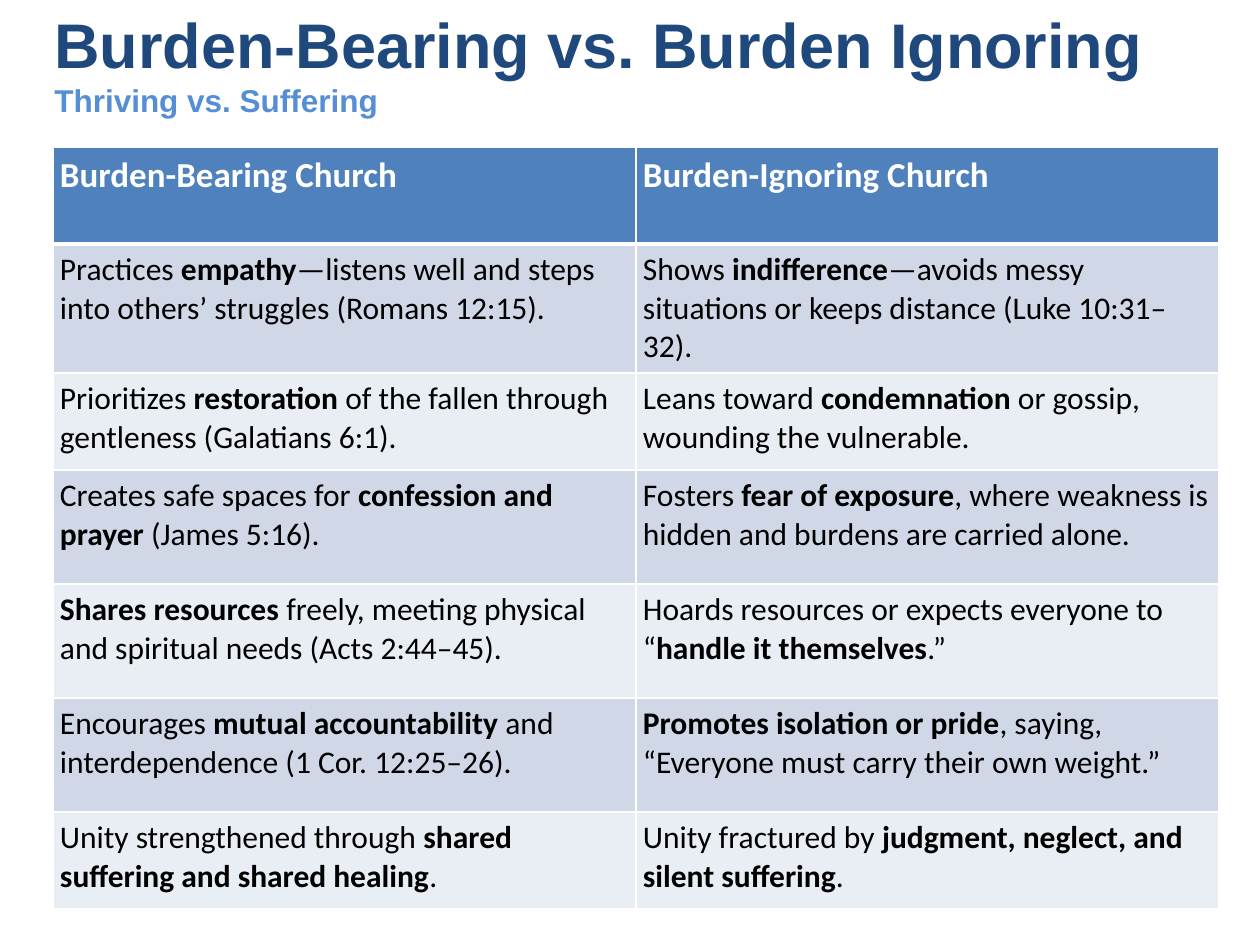
from dataclasses import dataclass

from lxml import etree
from pptx import Presentation, util as u
from pptx.dml.color import RGBColor
from pptx.enum import text
from pptx.oxml.ns import qn

PX = 914400 / 126
WHITE = "FFFFFF"
COL_W = 583
PAD = 7


@dataclass
class Row:
    height: int
    cells: tuple[str, str]


@dataclass
class Style:
    size: int
    color: str
    fill: str
    top: int = 1
    bottom: int = 1


ROWS = [
    Row(97, ("**Burden-Bearing Church**", "**Burden-Ignoring Church**")),
    Row(129, ("Practices **empathy**—listens well and steps into others’ struggles (Romans 12:15).",
              "Shows **indifference**—avoids messy situations or keeps distance (Luke 10:31–32).")),
    Row(97, ("Prioritizes **restoration** of the fallen through gentleness (Galatians 6:1).",
             "Leans toward **condemnation** or gossip, wounding the vulnerable.")),
    Row(114, ("Creates safe spaces for **confession and prayer** (James 5:16).",
              "Fosters **fear of exposure**, where weakness is hidden and burdens are carried alone.")),
    Row(114, ("**Shares resources** freely, meeting physical and spiritual needs (Acts 2:44–45).",
              "Hoards resources or expects everyone to “**handle it themselves**.”")),
    Row(114, ("Encourages **mutual accountability** and interdependence (1 Cor. 12:25–26).",
              "**Promotes isolation or pride**, saying, “Everyone must carry their own weight.”")),
    Row(97, ("Unity strengthened through **shared suffering and shared healing**.",
             "Unity fractured by **judgment, neglect, and silent suffering**.")),
]


def px(n: int) -> int:
    return round(n * PX)


def rgb(color: str) -> RGBColor:
    return RGBColor.from_string(color)


def format_run(r, font: str, size: int, color: str, bold: bool) -> None:
    r.font.name = font
    r.font.size = u.Pt(size)
    r.font.color.rgb = rgb(color)
    r.font.bold = bold


def add_border(cell, side: str, width: int) -> None:
    ln = etree.SubElement(cell._tc.get_or_add_tcPr(), qn(f"a:ln{side}"), w=str(u.Pt(width)))
    fill = etree.SubElement(ln, qn("a:solidFill"))
    etree.SubElement(fill, qn("a:srgbClr"), val=WHITE)


def fill_cell(cell, content: str, style: Style) -> None:
    cell.margin_left = cell.margin_right = px(PAD)
    cell.margin_top = cell.margin_bottom = px(PAD)
    for side, width in (("L", 1), ("R", 1), ("T", style.top), ("B", style.bottom)):
        add_border(cell, side, width)
    cell.fill.solid()
    cell.fill.fore_color.rgb = rgb(style.fill)
    p = cell.text_frame.paragraphs[0]
    for i, part in enumerate(content.split("**")):
        if part:
            r = p.add_run()
            r.text = part
            format_run(r, "Calibri", style.size, style.color, i % 2 == 1)


def row_style(i: int) -> Style:
    if i == 0:
        return Style(20, WHITE, "4F81BD", bottom=3)
    return Style(18, "000000", "D0D8E8" if i % 2 else "E9EDF4", top=3 if i == 1 else 1)


def add_title(s) -> None:
    tf = s.shapes.add_textbox(px(42), px(1), px(1134), px(122)).text_frame
    tf.word_wrap = True
    tf.vertical_anchor = text.MSO_ANCHOR.MIDDLE
    p = tf.paragraphs[0]
    p.text = "Burden-Bearing vs. Burden Ignoring\vThriving vs. Suffering"
    for r, size, color in zip(p.runs, (36, 18), ("1F497D", "558ED5")):
        format_run(r, "Arial", size, color, True)


def add_comparison(s, rows: list[Row]) -> None:
    height = sum(row.height for row in rows)
    table = s.shapes.add_table(len(rows), 2, px(53), px(147), px(2 * COL_W), px(height)).table
    for col in table.columns:
        col.width = px(COL_W)
    for i, row in enumerate(rows):
        table.rows[i].height = px(row.height)
        for j, content in enumerate(row.cells):
            fill_cell(table.cell(i, j), content, row_style(i))


def main() -> None:
    prs = Presentation()
    prs.slide_width, prs.slide_height = px(1260), px(945)
    s = prs.slides.add_slide(prs.slide_layouts[6])
    add_title(s)
    add_comparison(s, ROWS)
    prs.save("out.pptx")


if __name__ == "__main__":
    main()
